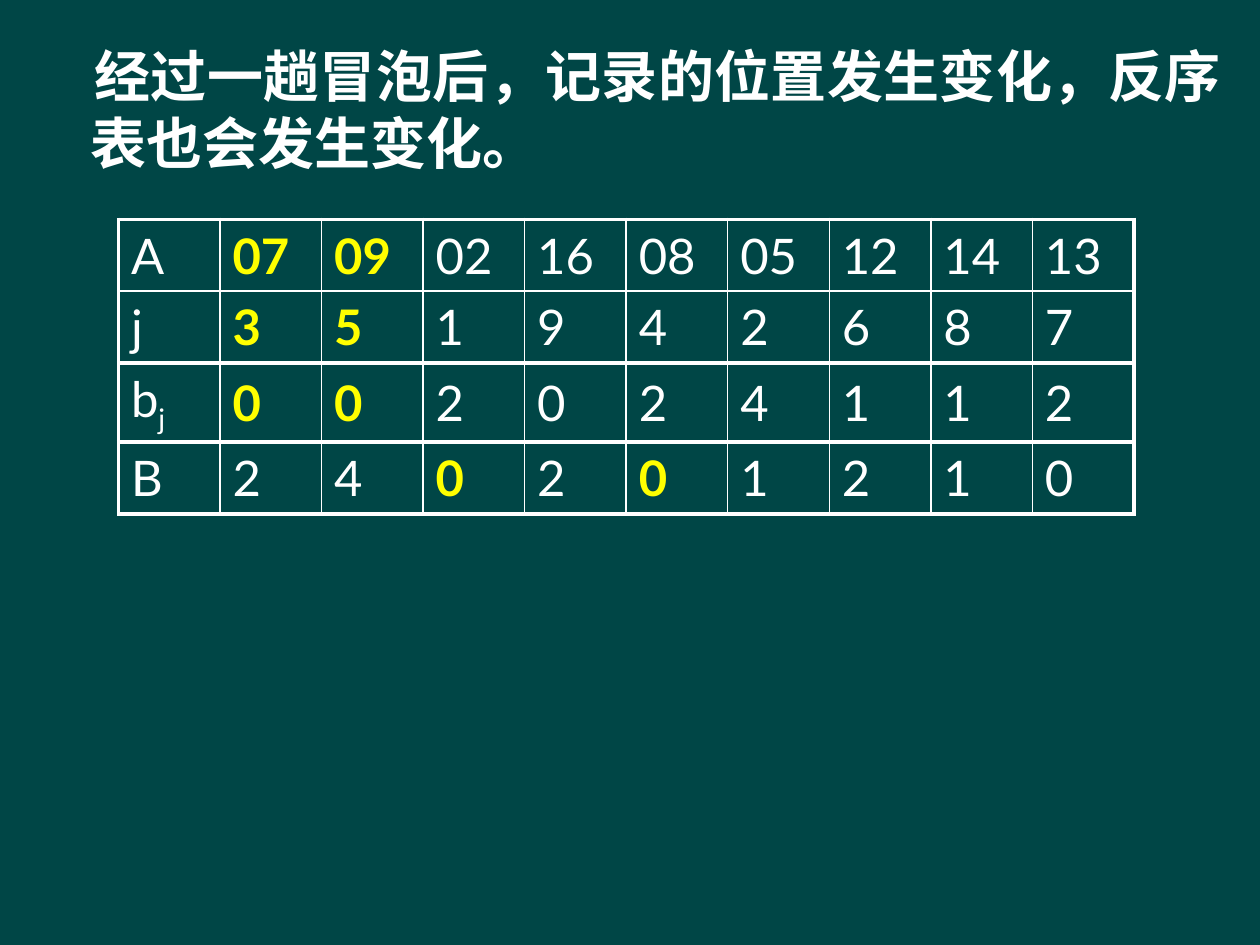
from dataclasses import dataclass

from lxml.etree import SubElement
from pptx import Presentation
from pptx.dml.color import RGBColor
from pptx.enum.text import MSO_ANCHOR, MSO_AUTO_SIZE, PP_ALIGN
from pptx.oxml.ns import qn
from pptx.util import Inches, Pt


@dataclass(frozen=True)
class Theme:
    background: RGBColor = RGBColor.from_string("004646")
    text: RGBColor = RGBColor.from_string("FFFFFF")
    accent: RGBColor = RGBColor.from_string("FFFF00")
    statement_font: str = "Times New Roman"
    table_font: str = "Lato"
    statement_size: Pt = Pt(32)
    table_size: Pt = Pt(28)
    thin: Pt = Pt(1)
    thick: Pt = Pt(2.25)


THEME = Theme()

STATEMENT = "经过一趟冒泡后，记录的位置发生变化，反序表也会发生变化。"
ROWS = [
    ["A", "07", "09", "02", "16", "08", "05", "12", "14", "13"],
    ["j", "3", "5", "1", "9", "4", "2", "6", "8", "7"],
    ["b", "0", "0", "2", "0", "2", "4", "1", "1", "2"],
    ["B", "2", "4", "0", "2", "0", "1", "2", "1", "0"],
]
SUBSCRIPTS = {(2, 0): "j"}
# Highlighted columns of each row
HIGHLIGHTS = [{1, 2}, {1, 2}, {1, 2}, {3, 5}]
ROW_RULES = [THEME.thick, THEME.thin] + [THEME.thick] * 3
COLUMN_RULES = [THEME.thick] + [THEME.thin] * 9 + [THEME.thick]


def set_values(target, values):
    for name, value in values.items():
        setattr(target, name, value)


def add_span(para, text, color, **format_values):
    span = para.add_run()
    span.text = text
    set_values(span.font, format_values)
    span.font.color.rgb = color
    return span


def fill_statement(box):
    set_values(box, {"left": Inches(0.24), "top": Inches(0.28),
                     "width": Inches(9.56), "height": Inches(6.89)})
    set_values(box.text_frame, {"word_wrap": True,
                                "auto_size": MSO_AUTO_SIZE.NONE,
                                "vertical_anchor": MSO_ANCHOR.TOP})
    para = box.text_frame.paragraphs[0]
    # The first line starts slightly to the right of the second
    properties = para._p.get_or_add_pPr()
    properties.set("marL", str(Inches(0.38)))
    properties.set("indent", str(Inches(0.03)))
    SubElement(properties, qn("a:buNone"))
    set_values(para, {"alignment": PP_ALIGN.JUSTIFY, "space_before": Pt(0)})
    add_span(para, STATEMENT, THEME.text, name=THEME.statement_font,
             size=THEME.statement_size, bold=True)


def set_borders(cell, widths):
    properties = cell._tc.get_or_add_tcPr()
    for side, width in widths.items():
        line = SubElement(properties, qn(f"a:ln{side}"), w=str(width))
        fill = SubElement(line, qn("a:solidFill"))
        SubElement(fill, qn("a:srgbClr"), val=str(THEME.text))


def fill_cell(cell, row, column):
    set_borders(cell, {"L": COLUMN_RULES[column], "R": COLUMN_RULES[column + 1],
                       "T": ROW_RULES[row], "B": ROW_RULES[row + 1]})
    cell.fill.background()
    cell.vertical_anchor = MSO_ANCHOR.MIDDLE
    highlighted = column in HIGHLIGHTS[row]
    color = THEME.accent if highlighted else THEME.text
    style = {"name": THEME.table_font, "size": THEME.table_size,
             "bold": highlighted}
    para = cell.text_frame.paragraphs[0]
    add_span(para, ROWS[row][column], color, **style)
    if (row, column) in SUBSCRIPTS:
        span = add_span(para, SUBSCRIPTS[row, column], color, **style)
        span.font._element.set("baseline", "-25000")


def add_inversion_table(slide):
    frame = slide.shapes.add_table(len(ROWS), len(ROWS[0]), Inches(0.94),
                                   Inches(1.74), Inches(8.06), Inches(2.28))
    table = frame.table
    set_values(table, {"first_row": False, "horz_banding": False})
    for row, values in enumerate(ROWS):
        for column in range(len(values)):
            fill_cell(table.cell(row, column), row, column)


def main():
    deck = Presentation()
    set_values(deck, {"slide_width": Inches(10), "slide_height": Inches(7.5)})
    slide = deck.slides.add_slide(deck.slide_layouts[1])
    slide.background.fill.solid()
    slide.background.fill.fore_color.rgb = THEME.background

    # Statement in the body placeholder; the slide has no title
    title = slide.shapes.title._element
    title.getparent().remove(title)
    fill_statement(slide.placeholders[1])

    # Records and their inversion tables
    add_inversion_table(slide)
    deck.save("out.pptx")


if __name__ == "__main__":
    main()
